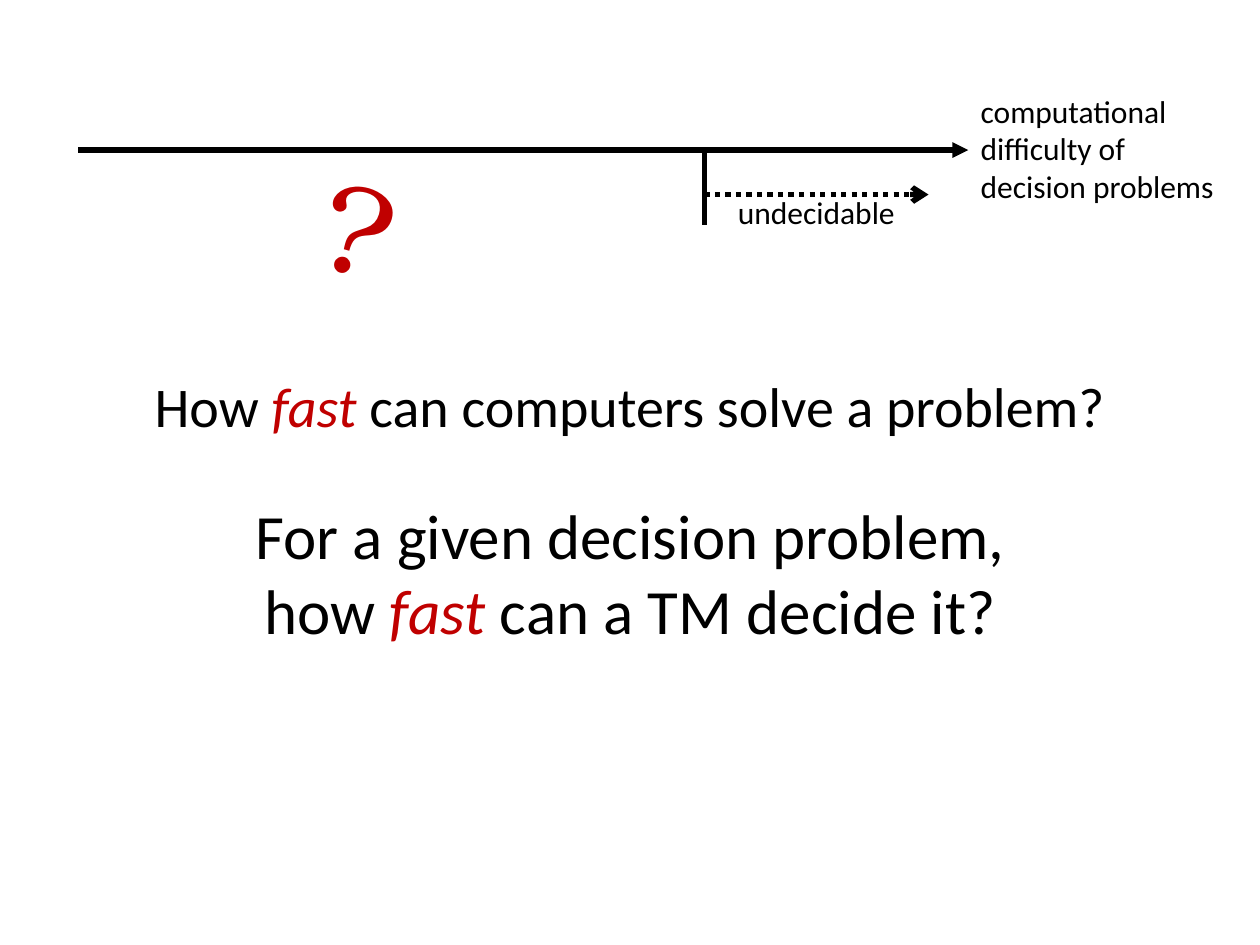
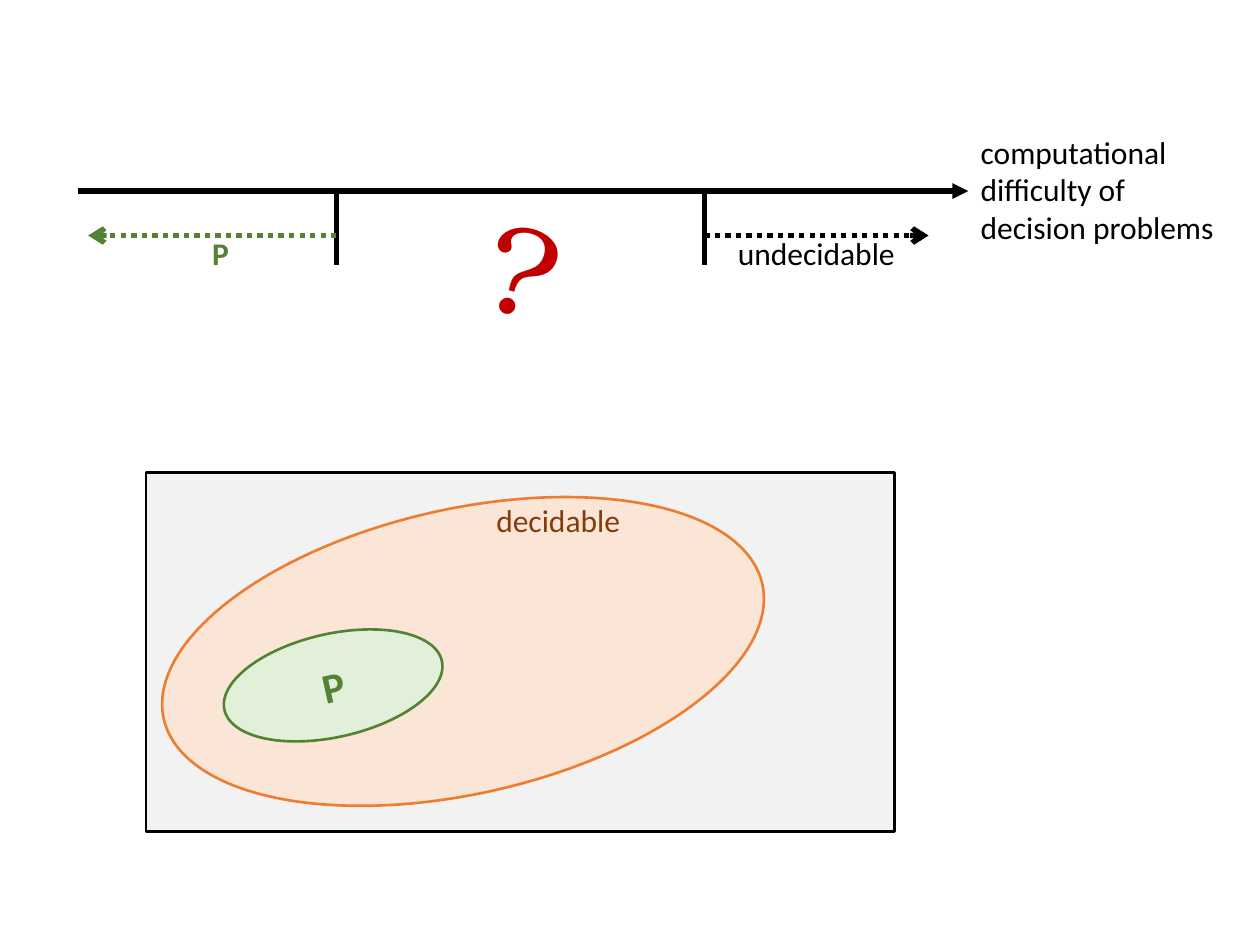
from lxml import etree
from pptx import Presentation
from pptx.dml.color import RGBColor
from pptx.enum.dml import MSO_LINE
from pptx.enum.shapes import MSO_CONNECTOR, MSO_SHAPE
from pptx.enum.text import MSO_ANCHOR, MSO_AUTO_SIZE, PP_ALIGN
from pptx.oxml.ns import qn
from pptx.util import Pt

STRAIGHT = MSO_CONNECTOR.STRAIGHT
RECTANGLE, ELLIPSE = MSO_SHAPE.RECTANGLE, MSO_SHAPE.OVAL
DOTTED = MSO_LINE.ROUND_DOT
LEFT, CENTER = PP_ALIGN.LEFT, PP_ALIGN.CENTER
MIDDLE = MSO_ANCHOR.MIDDLE
FIT_SHAPE = MSO_AUTO_SIZE.SHAPE_TO_FIT_TEXT

COLORS = {
    "black": "000000", "red": "C00000", "green": "548235",
    "orange": "ED7D31", "brown": "843C0B",
    "pale_gray": "F2F2F2", "pale_orange": "FBE5D6", "pale_green": "E2F0D9",
}
BODY_FONT, SYMBOL_FONT = "Calibri", "TeX Gyre Bonum"
EMPHASIS = {"color": "red", "italic": True}
CLASS_P = {"color": "green", "bold": True}

AXIS_LEFT, AXIS_RIGHT = 44.6, 553.3
UNDECIDABLE_X, P_X = 402.5, 192.2
TICK_LENGTH, RANGE_DROP, CAPTION_DROP = 42.5, 25.4, 21.2
ELLIPSE_TILT = -12.7


def color(name):
    return RGBColor.from_string(COLORS[name])


class Deck:
    """Holds the presentation, the current slide and the shared style."""

    def __init__(self):
        self.presentation = Presentation()
        self.presentation.slide_width = Pt(720)
        self.presentation.slide_height = Pt(540)
        self.slide = None

    def new_slide(self):
        layout = self.presentation.slide_layouts[6]
        self.slide = self.presentation.slides.add_slide(layout)

    def fill_text(self, frame, runs, size, align, font=BODY_FONT):
        """Add (text, format) pairs; a newline becomes a line break."""
        paragraph = frame.paragraphs[0]
        paragraph.alignment = align
        for text, changes in runs:
            style = {"name": font, "size": Pt(size), "bold": False,
                     "italic": False, "color": "black", **changes}
            color_name = style.pop("color")
            for index, line in enumerate(text.split("\n")):
                if index:
                    paragraph.add_line_break()
                run = paragraph.add_run()
                run.text = line
                for attribute, value in style.items():
                    setattr(run.font, attribute, value)
                run.font.color.rgb = color(color_name)

    def text(self, box, runs, size=18, align=CENTER, font=BODY_FONT, rotation=0):
        shape = self.slide.shapes.add_textbox(*map(Pt, box))
        shape.rotation = rotation
        shape.text_frame.word_wrap = False
        shape.text_frame.auto_size = FIT_SHAPE
        self.fill_text(shape.text_frame, runs, size, align, font)

    def line(self, start, end, line_color="black", dash=None, arrow=None):
        connector = self.slide.shapes.add_connector(
            STRAIGHT, *map(Pt, (*start, *end)))
        connector.line.width = Pt(3)
        connector.line.color.rgb = color(line_color)
        if dash:
            connector.line.dash_style = dash
        properties = connector._element.spPr
        if arrow:
            etree.SubElement(properties.find(qn("a:ln")), qn("a:tailEnd"), type=arrow)
        etree.SubElement(properties, qn("a:effectLst"))

    def shape(self, kind, box, fill, outline, rotation=0, runs=()):
        shape = self.slide.shapes.add_shape(kind, *map(Pt, box))
        shape.shadow.inherit = False
        shape.rotation = rotation
        shape.fill.solid()
        shape.fill.fore_color.rgb = color(fill)
        shape.line.color.rgb = color(outline)
        shape.line.width = Pt(1.5)
        shape.text_frame.vertical_anchor = MIDDLE
        self.fill_text(shape.text_frame, runs, 24, CENTER)

    def region(self, axis_y, x, tip_x, caption, caption_left, caption_width, style):
        """Tick on the axis with a dotted arrow and its caption."""
        range_y = axis_y + RANGE_DROP
        self.line((x, axis_y), (x, axis_y + TICK_LENGTH))
        self.line((x, range_y), (tip_x, range_y), style["color"], DOTTED, "arrow")
        self.text((caption_left, axis_y + CAPTION_DROP, caption_width, 29),
                  [(caption, style)])

    def difficulty_axis(self, axis_y, question_left):
        self.line((AXIS_LEFT, axis_y), (AXIS_RIGHT, axis_y), arrow="triangle")
        self.text((AXIS_RIGHT, axis_y - 37, 149, 72.7),
                  [("computational\ndifficulty of\ndecision problems", {})],
                  align=LEFT)
        self.region(axis_y, UNDECIDABLE_X, 530.6, "undecidable", 411.8, 109.4,
                    {"color": "black"})
        self.text((question_left, axis_y - 5, 49.7, 94.3), [("?", {"color": "red"})],
                  72, LEFT, SYMBOL_FONT, 15.8)


def speed_question_slide(deck):
    deck.new_slide()
    deck.difficulty_axis(85.8, 178.6)
    deck.text((79.2, 208.8, 561.6, 46),
              [("How ", {}), ("fast", EMPHASIS),
               (" can computers solve a problem?", {})], 32)
    deck.text((136.6, 280, 447, 94.3),
              [("For a given decision problem,\nhow ", {}), ("fast", EMPHASIS),
               (" can a TM decide it?", {})], 36)


def class_p_slide(deck):
    deck.new_slide()
    axis_y = 109.2
    deck.difficulty_axis(axis_y, 272.9)
    deck.region(axis_y, P_X, 50.4, "P", 113.8, 24.5, CLASS_P)

    # Nested sets of decision problems
    deck.shape(RECTANGLE, (83.5, 270, 427.7, 205.2), "pale_gray", "black")
    deck.shape(ELLIPSE, (89.3, 290.9, 350.6, 162.7), "pale_orange", "orange",
               ELLIPSE_TILT)
    deck.text((275.8, 283, 86.4, 29), [("decidable", {"color": "brown"})])
    deck.shape(ELLIPSE, (126.7, 362.2, 127.4, 59), "pale_green", "green",
               ELLIPSE_TILT, [("P", CLASS_P)])


def main():
    deck = Deck()
    speed_question_slide(deck)
    class_p_slide(deck)
    deck.presentation.save("out.pptx")


if __name__ == "__main__":
    main()
